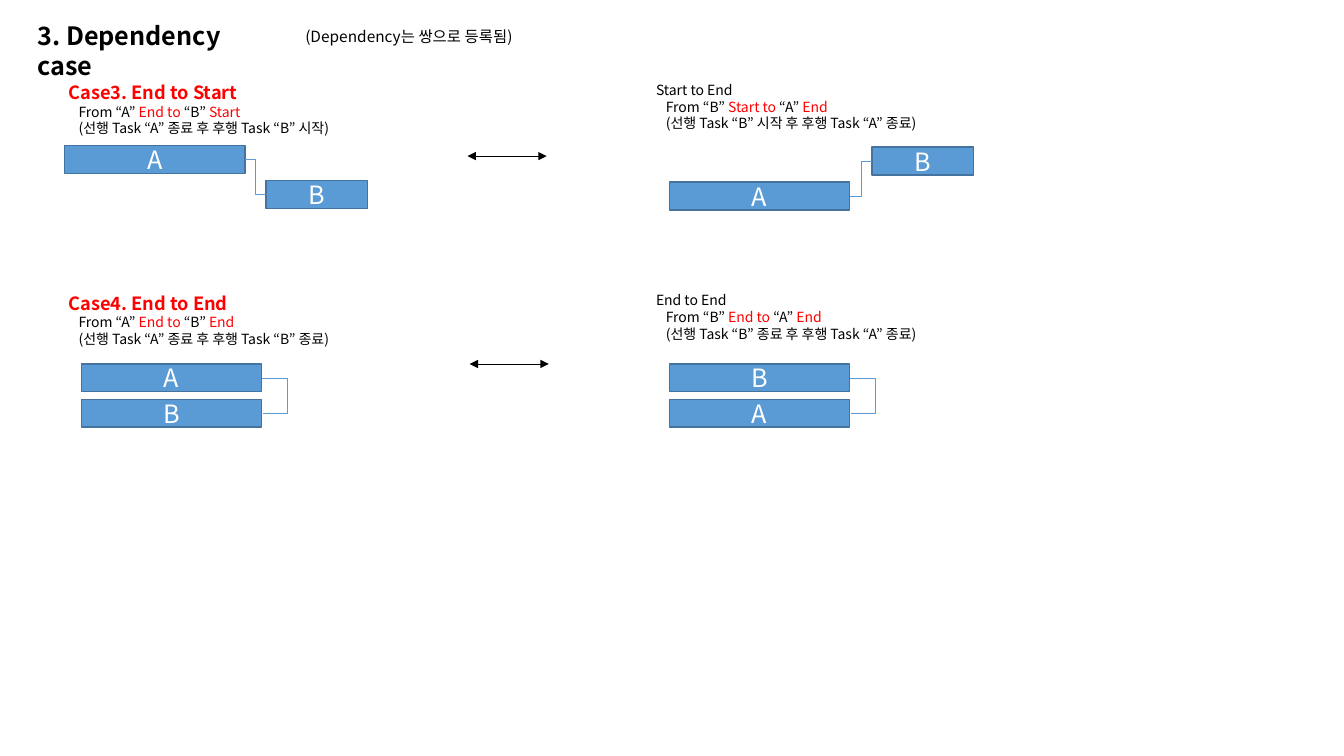
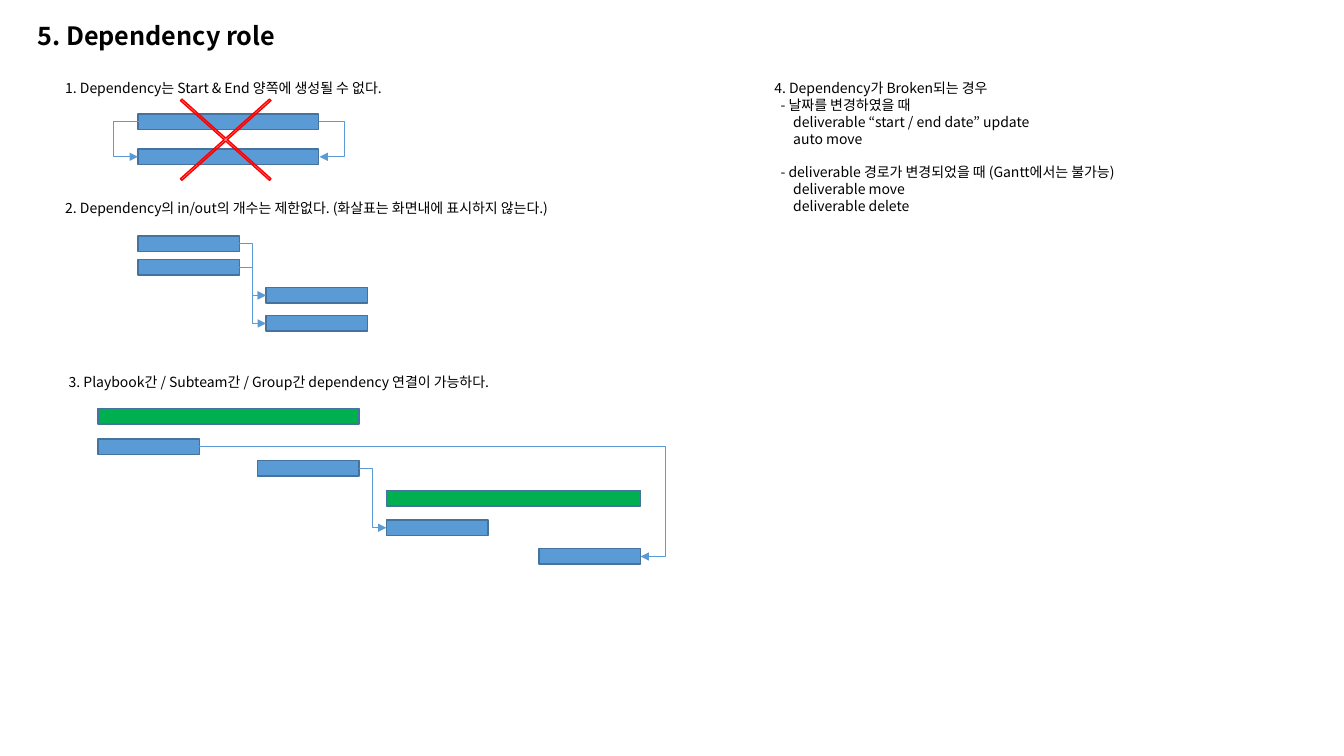
import pptx
import pptx.dml.color
import pptx.enum.shapes
import pptx.enum.text
import pptx.oxml.ns
import pptx.util
from lxml import etree

Pt = pptx.util.Pt
qn = pptx.oxml.ns.qn
SHAPE = pptx.enum.shapes.MSO_SHAPE
CONNECTOR = pptx.enum.shapes.MSO_CONNECTOR
ALIGN = pptx.enum.text.PP_ALIGN
ANCHOR = pptx.enum.text.MSO_ANCHOR

FONT = "Noto Sans CJK KR"
COLORS = {
    "black": "000000",
    "white": "FFFFFF",
    "red": "FF0000",
    "blue": "5B9BD5",
    "outline": "43739E",
    "green": "00B050",
}
BAR_HEIGHT = 11
SHORT_BAR = 72.5
LONG_BAR = 129


def color(name):
    return pptx.dml.color.RGBColor.from_string(COLORS[name])


def format_paragraph(para, size, tone="black", bold=False):
    para.font.size = Pt(size)
    para.font.bold = bold
    para.font.color.rgb = color(tone)
    para.font.name = FONT
    properties = para._p.get_or_add_pPr().find(qn("a:defRPr"))
    etree.SubElement(properties, qn("a:ea"), typeface=FONT)


def add_spans(para, spans):
    for text, tone in spans:
        span = para.add_run()
        span.text = text
        span.font.color.rgb = color(tone)


def set_indent(para, indent, before=0):
    para._p.get_or_add_pPr().set("marL", str(Pt(indent)))
    para.space_before = Pt(before)


def add_page(deck, title):
    page = deck.slides.add_slide(deck.slide_layouts[5])
    box = page.shapes.title
    box.left, box.top, box.width, box.height = Pt(19.5), Pt(11), Pt(185), Pt(29)
    frame = box.text_frame
    frame.word_wrap = True
    frame.auto_size = pptx.enum.text.MSO_AUTO_SIZE.NONE
    frame.vertical_anchor = ANCHOR.TOP
    frame.text = title
    para = frame.paragraphs[0]
    para.alignment = ALIGN.LEFT
    format_paragraph(para, 18, bold=True)
    return page


def add_text(page, left, top, width, height):
    box = page.shapes.add_textbox(Pt(left), Pt(top), Pt(width), Pt(height))
    box.text_frame.word_wrap = True
    return box.text_frame


def add_note(page, left, top, width, text, size=10):
    para = add_text(page, left, top, width, 20).paragraphs[0]
    para.text = text
    format_paragraph(para, size)


def add_case(page, left, top, heading, heading_style, spans, meaning):
    frame = add_text(page, left, top, 248.5, 46)
    head = frame.paragraphs[0]
    head.text = heading
    format_paragraph(head, *heading_style)
    rule = frame.add_paragraph()
    set_indent(rule, 7)
    format_paragraph(rule, 10)
    add_spans(rule, spans)
    detail = frame.add_paragraph()
    detail.text = meaning
    set_indent(detail, 7)
    format_paragraph(detail, 10)


def add_bar(page, left, top, width, height=BAR_HEIGHT, label="", fill="blue"):
    bar = page.shapes.add_shape(SHAPE.RECTANGLE, Pt(left), Pt(top), Pt(width), Pt(height))
    bar.shadow.inherit = False
    bar.fill.solid()
    bar.fill.fore_color.rgb = color(fill)
    bar.line.color.rgb = color("outline")
    bar.line.width = Pt(1)
    if label:
        bar.text_frame.vertical_anchor = ANCHOR.MIDDLE
        para = bar.text_frame.paragraphs[0]
        para.text = label
        para.alignment = ALIGN.CENTER
        format_paragraph(para, 18, "white")


def add_line(page, kind, start, end, tone, arrows=()):
    line = page.shapes.add_connector(kind, *[Pt(value) for value in (*start, *end)])
    line.line.color.rgb = color(tone)
    line.line.width = Pt(0.5)
    outline = line.line._get_or_add_ln()
    for side in arrows:
        etree.SubElement(outline, qn(f"a:{side}"), type="triangle")
    etree.SubElement(line._element.spPr, qn("a:effectLst"))
    return line


def add_link(page, start, end, bend, arrow=True):
    arrows = ("tailEnd",) if arrow else ()
    link = add_line(page, CONNECTOR.ELBOW, start, end, "blue", arrows)
    ratio = (bend - start[0]) / (end[0] - start[0])
    guides = link._element.spPr.find(qn("a:prstGeom")).get_or_add_avLst()
    etree.SubElement(guides, qn("a:gd"), name="adj1", fmla=f"val {round(ratio * 100000)}")


def add_cross(page, left, top, width, height):
    cross = page.shapes.add_shape(SHAPE.MATH_MULTIPLY, Pt(left), Pt(top), Pt(width), Pt(height))
    cross.adjustments[0] = 0.014
    cross.shadow.inherit = False
    cross.fill.solid()
    cross.fill.fore_color.rgb = color("red")
    tint = cross._element.spPr.find(qn("a:solidFill"))[0]
    etree.SubElement(tint, qn("a:alpha"), val="43000")
    cross.line.color.rgb = color("red")
    cross.line.width = Pt(1)


def add_causes(page, left, top, lines):
    frame = add_text(page, left, top, 358.5, 104.5)
    for index, (text, indent, before) in enumerate(lines):
        para = frame.paragraphs[0] if index == 0 else frame.add_paragraph()
        para.text = text
        set_indent(para, indent, before)
        format_paragraph(para, 10)


def rule_spans(first, move, second, goal):
    return [(f"From “{first}” ", "black"), (move, "red"),
            (f" “{second}”", "black"), (f" {goal}", "red")]


def build_cases(deck):
    page = add_page(deck, "3. Dependency case")
    add_note(page, 211, 16, 227, "(Dependency는 쌍으로 등록됨)", 11)

    main_style = (13, "red", True)
    pair_style = (10, "black", False)
    cases = [
        (42, 54.5, "Case3. End to Start", main_style, ("A", "End to", "B", "Start"),
         "(선행 Task “A” 종료 후 후행 Task “B” 시작)"),
        (461.5, 54.5, "Start to End", pair_style, ("B", "Start to", "A", "End"),
         "(선행 Task “B” 시작 후 후행 Task “A” 종료)"),
        (42, 205, "Case4. End to End", main_style, ("A", "End to", "B", "End"),
         "(선행 Task “A” 종료 후 후행 Task “B” 종료)"),
        (461.5, 205, "End to End", pair_style, ("B", "End to", "A", "End"),
         "(선행 Task “B” 종료 후 후행 Task “A” 종료)"),
    ]
    for left, top, heading, style, rule, meaning in cases:
        add_case(page, left, top, heading, style, rule_spans(*rule), meaning)

    for left, top, width, label in [
        (46, 104, LONG_BAR, "A"), (190, 129, SHORT_BAR, "B"),
        (623, 105, SHORT_BAR, "B"), (478, 130, LONG_BAR, "A"),
    ]:
        add_bar(page, left, top, width, 20, label)
    add_link(page, (175, 114), (190, 139), 182.5, False)
    add_link(page, (623, 115), (607, 140), 615, False)

    for left, labels in [(58, "AB"), (478, "BA")]:
        for row, label in enumerate(labels):
            add_bar(page, left, 260 + 25.5 * row, LONG_BAR, 19.5, label)
        right = left + LONG_BAR
        add_link(page, (right, 270), (right + 0.7, 295), right + 18, False)

    for left, top in [(334, 111.5), (335.5, 260)]:
        add_line(page, CONNECTOR.STRAIGHT, (left, top), (left + 56.5, top), "black",
                 ("headEnd", "tailEnd"))


def build_roles(deck):
    page = add_page(deck, "5. Dependency role")
    for left, top, width, text in [
        (39.5, 53.5, 297, "1. Dependency는 Start & End 양쪽에 생성될 수 없다."),
        (39.5, 139, 530, "2. Dependency의 in/out의 개수는 제한없다. (화살표는 화면내에 표시하지 않는다.)"),
        (42, 263, 358.5, "3. Playbook간 / Subteam간 / Group간 dependency 연결이 가능하다."),
    ]:
        add_note(page, left, top, width, text)

    for left, top, width, fill in [
        (98.5, 81.5, LONG_BAR, "blue"), (98.5, 106.5, LONG_BAR, "blue"),
        (98.5, 168.5, SHORT_BAR, "blue"), (98.5, 185.5, SHORT_BAR, "blue"),
        (190, 205.5, SHORT_BAR, "blue"), (190, 225.5, SHORT_BAR, "blue"),
        (70, 292, 186.5, "green"), (276, 350.5, 181.5, "green"),
        (70, 313.5, SHORT_BAR, "blue"), (184, 329, SHORT_BAR, "blue"),
        (276, 371.5, SHORT_BAR, "blue"), (385, 392, SHORT_BAR, "blue"),
    ]:
        add_bar(page, left, top, width, fill=fill)

    for start, end, bend in [
        ((99.2, 87), (98.5, 112), 81.5),
        ((227.5, 87), (228.2, 112), 245.5),
        ((171, 191), (190, 211), 180.5),
        ((171, 191), (190, 231), 180.5),
        ((171, 174), (190, 211), 180.5),
        ((256.5, 334.5), (276, 377), 266),
        ((142.5, 319), (457.5, 397.5), 475.5),
    ]:
        add_link(page, start, end, bend)
    add_cross(page, 100, 45, 122.5, 109.5)

    add_causes(page, 546, 53.5, [
        ("4. Dependency가 Broken되는 경우", 0, 0),
        ("- 날짜를 변경하였을 때", 4.5, 0),
        ("deliverable “start / end date” update", 13.5, 0),
        ("auto move", 13.5, 0),
        ("- deliverable 경로가 변경되었을 때 (Gantt에서는 불가능)", 4.5, 12),
        ("deliverable move", 13.5, 0),
        ("deliverable delete", 13.5, 0),
    ])


def main():
    deck = pptx.Presentation()
    deck.slide_width, deck.slide_height = Pt(960), Pt(540)
    build_cases(deck)
    build_roles(deck)
    deck.save("out.pptx")


main()
